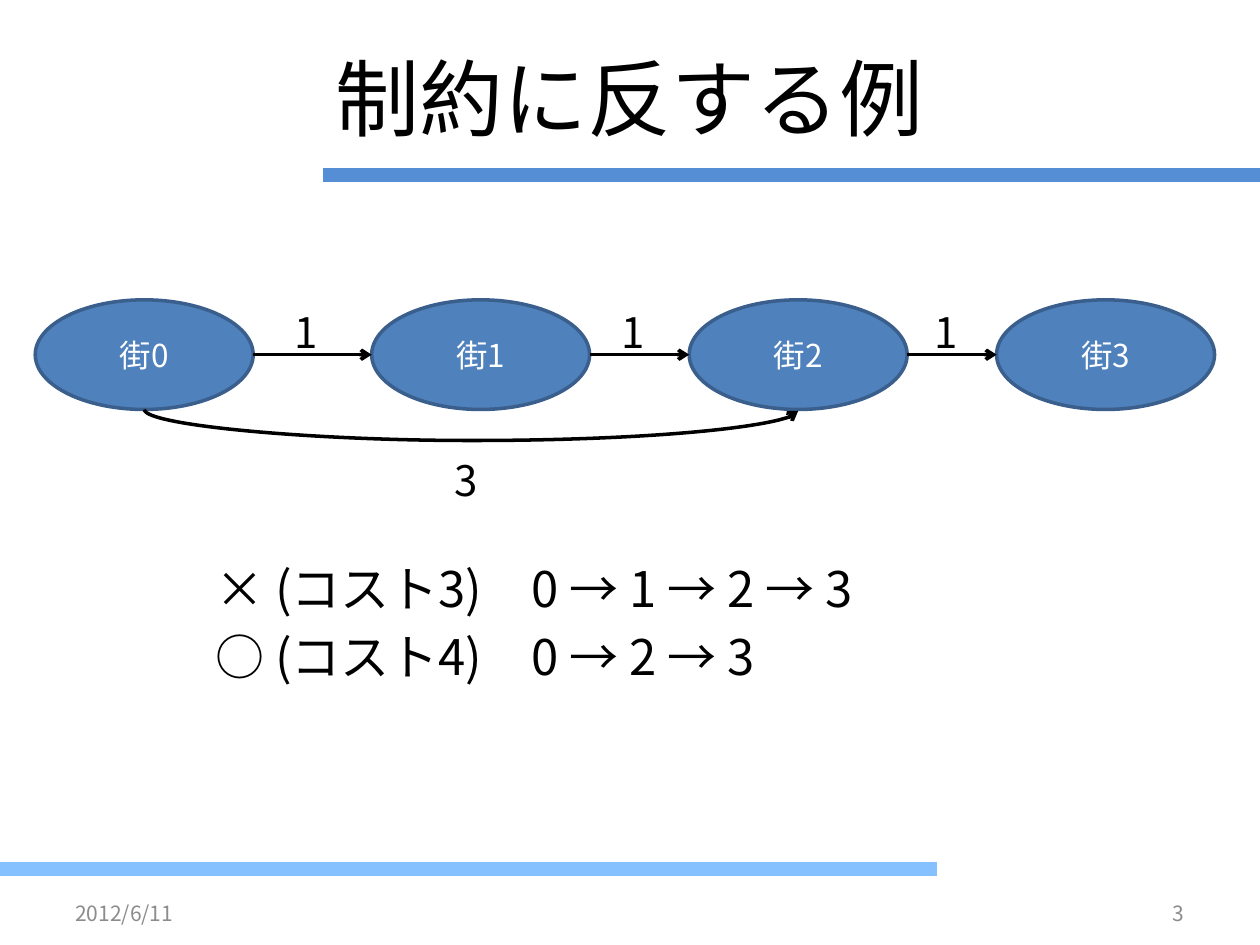
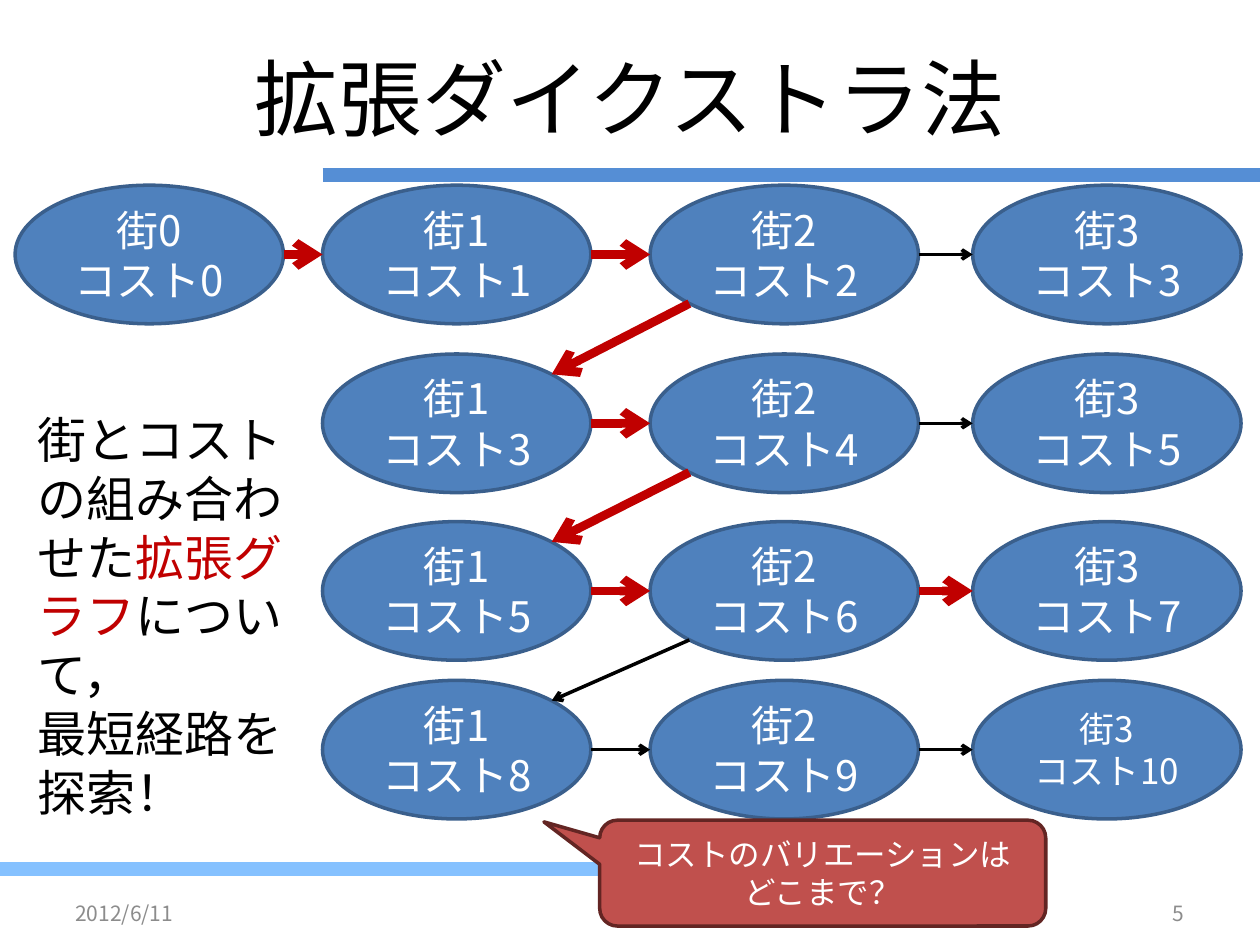
from lxml import etree
from pptx import Presentation
from pptx.dml.color import RGBColor
from pptx.enum.shapes import MSO_CONNECTOR, MSO_SHAPE
from pptx.enum.text import MSO_ANCHOR, PP_ALIGN
from pptx.oxml.ns import qn
from pptx.util import Inches, Pt

STRAIGHT, CURVE = MSO_CONNECTOR.STRAIGHT, MSO_CONNECTOR.CURVE
ELLIPSE, CALLOUT = MSO_SHAPE.OVAL, MSO_SHAPE.ROUNDED_RECTANGULAR_CALLOUT
TOP, MIDDLE = MSO_ANCHOR.TOP, MSO_ANCHOR.MIDDLE
LEFT, CENTER, RIGHT = PP_ALIGN.LEFT, PP_ALIGN.CENTER, PP_ALIGN.RIGHT

BLACK = RGBColor(0x00, 0x00, 0x00)
WHITE = RGBColor(0xFF, 0xFF, 0xFF)
GRAY = RGBColor(0x8C, 0x8C, 0x8C)
TITLE_BAND = RGBColor(0x55, 0x8E, 0xD5)
FOOTER_BAND = RGBColor(0x85, 0xC1, 0xFF)
NODE_FILL = RGBColor(0x4F, 0x81, 0xBD)
NODE_LINE = RGBColor(0x3A, 0x5F, 0x8C)
RED = RGBColor(0xC0, 0x00, 0x00)
CALLOUT_FILL = RGBColor(0xC0, 0x50, 0x4D)
CALLOUT_LINE = RGBColor(0x63, 0x25, 0x23)

FONT = "Noto Sans CJK JP"
DATE = "2012/6/11"
DIAGONAL = 0.146


def add_run(paragraph, text, size, color):
    """Add one run in the shared font, for Latin and East Asian text."""
    run = paragraph.add_run()
    run.text = text
    run.font.size = Pt(size)
    run.font.color.rgb = color
    run.font.name = FONT
    etree.SubElement(run.font._element, qn("a:ea"), typeface=FONT)


def write_lines(paragraph, lines, size, color):
    """Write lines of one paragraph, parted by line breaks."""
    for index, line in enumerate(lines):
        if index:
            paragraph.add_line_break()
        add_run(paragraph, line, size, color)


def add_text_box(slide, box, anchor=TOP, align=LEFT):
    """Add a wrapping text box and return its text frame."""
    frame = slide.shapes.add_textbox(*map(Inches, box)).text_frame
    frame.word_wrap = True
    frame.vertical_anchor = anchor
    frame.paragraphs[0].alignment = align
    return frame


def add_label(slide, box, text, size, color=BLACK, anchor=TOP, align=LEFT):
    """Add a text box holding a single run."""
    frame = add_text_box(slide, box, anchor, align)
    add_run(frame.paragraphs[0], text, size, color)


def add_panel(slide, kind, box, lines, size, fill, outline):
    """Add a filled shape with centred white lines of text."""
    shape = slide.shapes.add_shape(kind, *map(Inches, box))
    shape.shadow.inherit = False
    shape.fill.solid()
    shape.fill.fore_color.rgb = fill
    shape.line.color.rgb = outline
    shape.line.width = Pt(2)
    frame = shape.text_frame
    frame.word_wrap = True
    frame.vertical_anchor = MIDDLE
    frame.paragraphs[0].alignment = CENTER
    write_lines(frame.paragraphs[0], lines, size, WHITE)
    return shape


def add_node(slide, box, lines, size):
    """Add one town of the graph."""
    add_panel(slide, ELLIPSE, box, lines, size, NODE_FILL, NODE_LINE)


def add_line(slide, start, end, color=BLACK, width=2, kind=STRAIGHT, arrow=True):
    """Add a connector from start to end, with an arrowhead if wanted."""
    line = slide.shapes.add_connector(kind, *map(Inches, (*start, *end)))
    line.line.color.rgb = color
    line.line.width = Pt(width)
    if arrow:
        etree.SubElement(line.line._get_or_add_ln(), qn("a:tailEnd"), type="arrow")
    etree.SubElement(line._element.spPr, qn("a:effectLst"))
    return line


def add_detour(slide, start, end, depth):
    """Add a curved arrow that sags below two points of nearly equal height."""
    span, rise = end[0] - start[0], end[1] - start[1]
    middle_x, middle_y = (start[0] + end[0]) / 2, (start[1] + end[1]) / 2
    curve = add_line(slide, (middle_x + rise / 2, middle_y - span / 2),
                     (middle_x - rise / 2, middle_y + span / 2), kind=CURVE)
    curve.rotation = 270
    guides = curve._element.spPr.find(qn("a:prstGeom")).find(qn("a:avLst"))
    bend = round(depth / rise * 100000)
    etree.SubElement(guides, qn("a:gd"), name="adj1", fmla=f"val {bend}")


def add_frame_slide(presentation, title, number):
    """Add a slide with the shared bands, title and footer."""
    slide = presentation.slides.add_slide(presentation.slide_layouts[6])
    add_line(slide, (2.56, 1.39), (10, 1.39), TITLE_BAND, 8, arrow=False)
    add_line(slide, (0, 6.9), (7.44, 6.9), FOOTER_BAND, 8, arrow=False)
    add_label(slide, (0.5, 0.14, 9, 1.25), title, 48, BLACK, MIDDLE, CENTER)
    add_label(slide, (0.5, 7.05, 2.33, 0.4), DATE, 12, GRAY, MIDDLE)
    add_label(slide, (7.17, 7.05, 2.33, 0.4), number, 12, GRAY, MIDDLE, RIGHT)
    return slide


def add_town_chain(slide, left, top):
    """Draw four towns in a row, with edge costs and a detour."""
    width, height = 1.73, 0.87
    lefts = [left + offset for offset in (0, 2.67, 5.19, 7.63)]
    middle = top + height / 2
    for index, town_left in enumerate(lefts):
        add_node(slide, (town_left, top, width, height), [f"街{index}"], 18)
    for source, target in zip(lefts, lefts[1:]):
        add_line(slide, (source + width, middle), (target, middle))
        gap_center = (source + width + target) / 2
        add_label(slide, (gap_center - 0.24, top, 0.47, 0.5), "1", 24)
    bottom = top + height
    add_detour(slide, (lefts[0] + width / 2, bottom),
               (lefts[2] + width / 2, bottom + 0.01), 0.25)
    add_label(slide, (left + 3.23, top + 1.18, 0.47, 0.5), "3", 24)


def add_routes(slide, box):
    """List the routes with their costs."""
    frame = add_text_box(slide, box)
    routes = ("× (コスト3)\u30000 → 1 → 2 → 3", "○ (コスト4)\u30000 → 2 → 3")
    for index, route in enumerate(routes):
        paragraph = frame.add_paragraph() if index else frame.paragraphs[0]
        paragraph.space_before = Pt(5.6)
        add_run(paragraph, route, 28, BLACK)


def add_extended_graph(slide, left, top):
    """Draw the grid of town and cost pairs, with the shortest path in red."""
    width, height = 2.13, 1.1
    lefts = [left + offset for offset in (0, 2.44, 5.04, 7.6)]
    tops = [top + offset for offset in (0, 1.34, 2.67, 3.93)]
    costs = ({0: 0, 1: 1, 2: 2, 3: 3}, {1: 3, 2: 4, 3: 5},
             {1: 5, 2: 6, 3: 7}, {1: 8, 2: 9, 3: 10})
    red_starts = {(0, 0), (0, 1), (1, 1), (2, 1), (2, 2)}
    red_returns = {0, 1}
    for row, towns in enumerate(costs):
        for town, cost in towns.items():
            size = 20 if cost >= 10 else 24
            add_node(slide, (lefts[town], tops[row], width, height),
                     [f"街{town}", f"コスト{cost}"], size)
    for row, towns in enumerate(costs):
        middle = tops[row] + height / 2
        for town in list(towns)[:-1]:
            style = (RED, 5) if (row, town) in red_starts else (BLACK, 2)
            add_line(slide, (lefts[town] + width, middle),
                     (lefts[town + 1], middle), *style)
    for row in range(len(costs) - 1):
        style = (RED, 5) if row in red_returns else (BLACK, 2)
        add_line(slide, (lefts[2] + DIAGONAL * width, tops[row] + (1 - DIAGONAL) * height),
                 (lefts[1] + (1 - DIAGONAL) * width, tops[row + 1] + DIAGONAL * height),
                 *style)


def add_explanation(slide, box):
    """Explain the extended graph beside it."""
    paragraph = add_text_box(slide, box).paragraphs[0]
    add_run(paragraph, "街とコストの組み合わせた", 28, BLACK)
    add_run(paragraph, "拡張グラフ", 28, RED)
    write_lines(paragraph, ["について，", "最短経路を探索！"], 28, BLACK)


def add_question(slide, box):
    """Ask about the range of costs in a callout."""
    callout = add_panel(slide, CALLOUT, box, ["コストのバリエーションは", "どこまで？"],
                        18, CALLOUT_FILL, CALLOUT_LINE)
    for index, value in enumerate((-0.625, -0.484, 0.167)):
        callout.adjustments[index] = value


def build_violation_slide(presentation):
    """Build the slide with a route that breaks the constraint."""
    slide = add_frame_slide(presentation, "制約に反する例", "3")
    add_routes(slide, (1.61, 4.38, 6.46, 0.98))
    add_town_chain(slide, 0.28, 2.38)


def build_dijkstra_slide(presentation):
    """Build the slide with the extended graph."""
    slide = add_frame_slide(presentation, "拡張ダイクストラ法", "5")
    add_extended_graph(slide, 0.12, 1.47)
    add_explanation(slide, (0.2, 3.2, 2.2, 3.4))
    add_question(slide, (4.76, 6.51, 3.54, 0.84))


def main():
    """Build and save the presentation."""
    presentation = Presentation()
    presentation.slide_width = Inches(10)
    presentation.slide_height = Inches(7.5)
    build_violation_slide(presentation)
    build_dijkstra_slide(presentation)
    presentation.save("out.pptx")


main()
